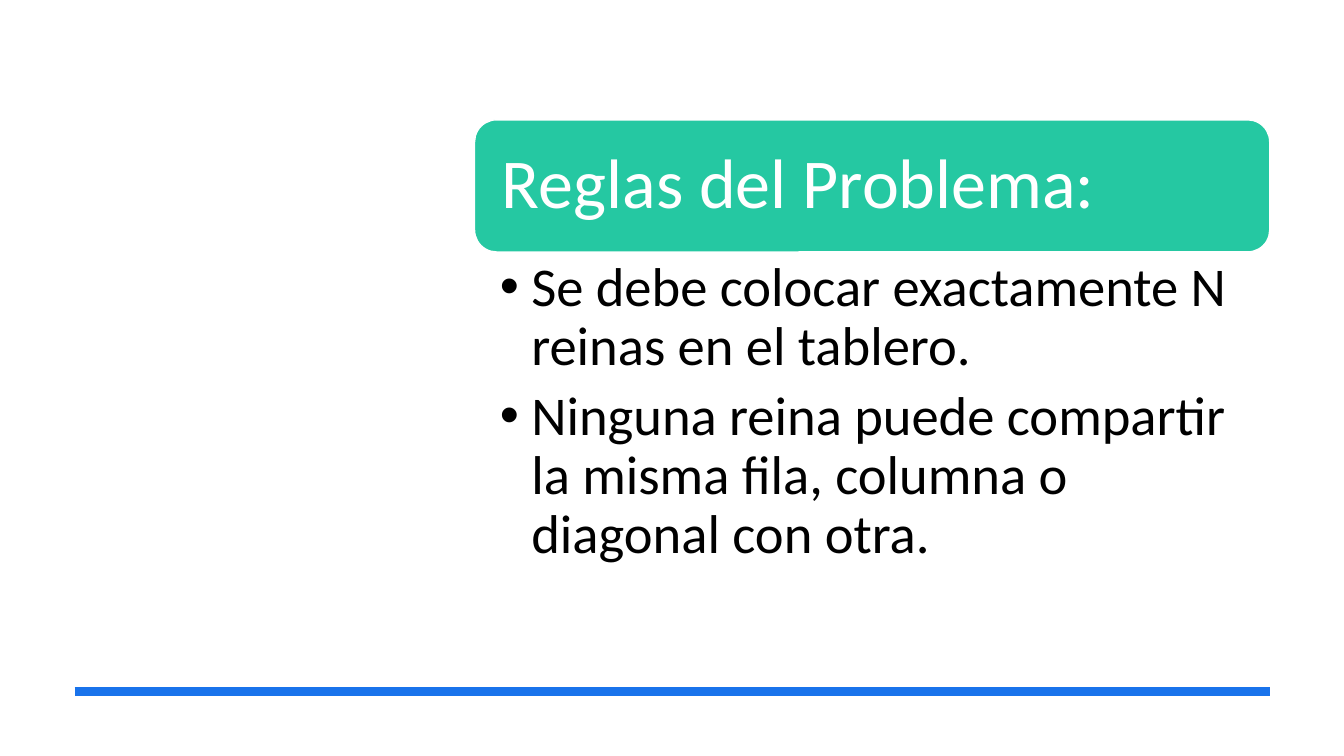
from dataclasses import dataclass

from lxml.etree import SubElement
from pptx import Presentation
from pptx.dml.color import RGBColor
from pptx.enum.shapes import MSO_CONNECTOR as Connector, MSO_SHAPE as Shape
from pptx.enum.text import MSO_ANCHOR as Anchor, MSO_AUTO_SIZE as AutoSize, PP_ALIGN as Align
from pptx.oxml.ns import qn
from pptx.util import Cm, Pt


@dataclass(frozen=True)
class Theme:
    font: str = "Calibri"
    banner: RGBColor = RGBColor(0x25, 0xC8, 0xA2)
    rule: RGBColor = RGBColor(0x19, 0x73, 0xEB)
    light: RGBColor = RGBColor(0xFF, 0xFF, 0xFF)
    dark: RGBColor = RGBColor(0x00, 0x00, 0x00)
    title_size: Pt = Pt(50)
    body_size: Pt = Pt(39)
    rule_width: Pt = Pt(6)
    outline_width: Pt = Pt(1)


def apply(target, values):
    for name, value in values.items():
        setattr(target, name, value)


class SlideBuilder:
    """Draw themed elements on one slide, with lengths in centimetres."""

    def __init__(self, slide, theme):
        self.slide = slide
        self.theme = theme

    def rule(self, left, right, y):
        line = self.slide.shapes.add_connector(
            Connector.STRAIGHT, Cm(left), Cm(y), Cm(right), Cm(y))
        line.line.color.rgb = self.theme.rule
        line.line.width = self.theme.rule_width
        SubElement(line.element.spPr, qn("a:effectLst"))

    def banner(self, *box):
        shape = self.slide.shapes.add_shape(Shape.ROUNDED_RECTANGLE, *map(Cm, box))
        shape.shadow.inherit = False
        shape.fill.solid()
        shape.fill.fore_color.rgb = self.theme.banner
        shape.line.color.rgb = self.theme.light
        shape.line.width = self.theme.outline_width

    def frame(self, shape, anchor, insets):
        left, top, right, bottom = map(Cm, insets)
        apply(shape.text_frame, {
            "word_wrap": True, "auto_size": AutoSize.NONE, "vertical_anchor": anchor,
            "margin_left": left, "margin_top": top,
            "margin_right": right, "margin_bottom": bottom})
        return shape.text_frame

    def fill_paragraph(self, paragraph, text, size, color, space_after):
        run = paragraph.add_run()
        run.text = text
        apply(run.font, {"name": self.theme.font, "size": size})
        run.font.color.rgb = color
        apply(paragraph, {"alignment": Align.LEFT, "line_spacing": 0.9,
                          "space_before": Pt(0), "space_after": space_after})

    def title(self, text, *box):
        title = self.slide.shapes.title
        apply(title, dict(zip(("left", "top", "width", "height"), map(Cm, box))))
        title.element.getparent().append(title.element)
        frame = self.frame(title, Anchor.MIDDLE, [0.53] * 4)
        self.fill_paragraph(frame.paragraphs[0], text, self.theme.title_size,
                            self.theme.light, Pt(0))

    def bullets(self, texts, *box):
        shape = self.slide.shapes.add_textbox(*map(Cm, box))
        frame = self.frame(shape, Anchor.TOP, (0.64, 0.18, 0.99, 0.18))
        for index, text in enumerate(texts):
            paragraph = frame.add_paragraph() if index else frame.paragraphs[0]
            self.fill_paragraph(paragraph, text, self.theme.body_size,
                                self.theme.dark, Pt(8))
            properties = paragraph._p.get_or_add_pPr()
            for name, value in {"lvl": 1, "marL": Cm(0.79), "indent": -Cm(0.79)}.items():
                properties.set(name, str(int(value)))
            SubElement(properties, qn("a:buFont"), typeface="Arial")
            SubElement(properties, qn("a:buChar"), char="•")


def main():
    presentation = Presentation()
    apply(presentation, {"slide_width": Cm(33.87), "slide_height": Cm(19.05)})
    slide = presentation.slides.add_slide(presentation.slide_layouts[5])
    builder = SlideBuilder(slide, Theme())
    builder.rule(1.88, 32, 17.42)
    builder.banner(11.96, 3.02, 20.04, 3.33)
    builder.title("Reglas del Problema:", 12.12, 3.18, 19.71, 3)
    builder.bullets([
        "Se debe colocar exactamente N reinas en el tablero.",
        "Ninguna reina puede compartir la misma fila, columna o diagonal con otra.",
    ], 11.96, 6.35, 20.04, 9.78)
    presentation.save("out.pptx")


if __name__ == "__main__":
    main()
